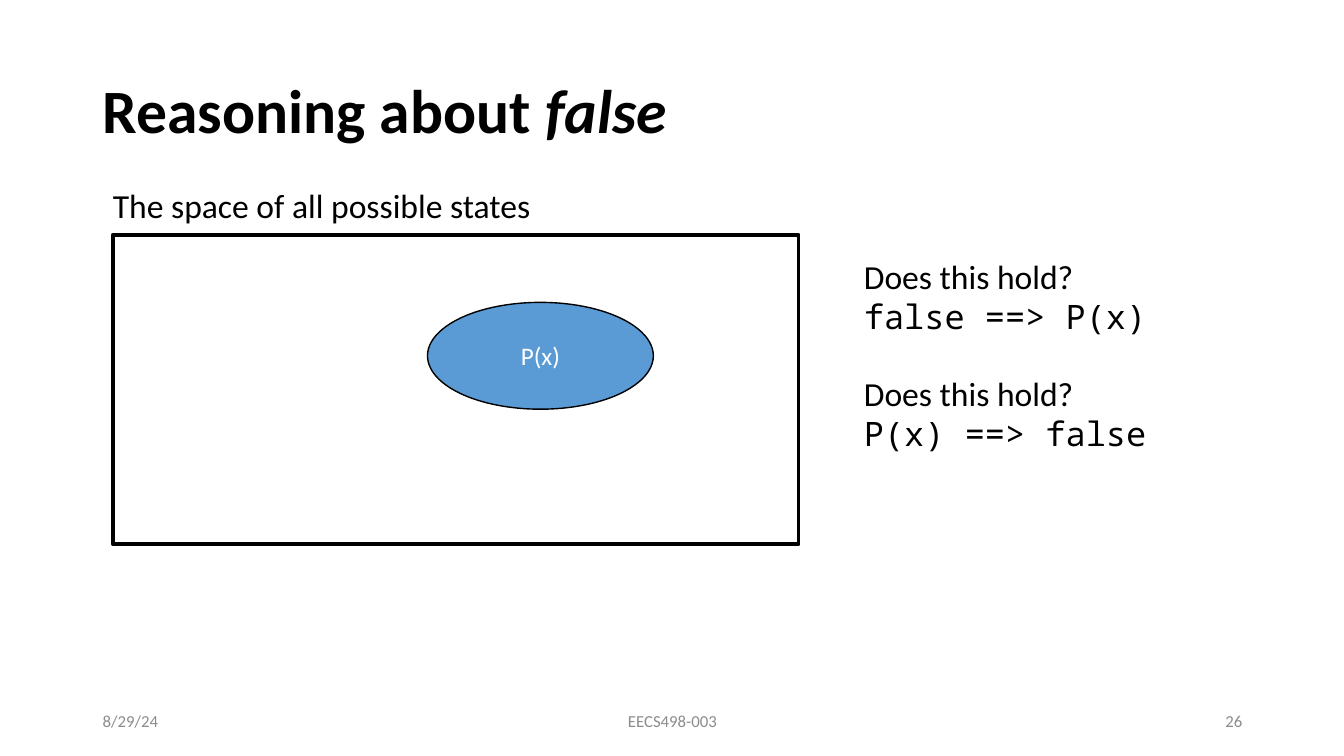
from pptx import Presentation
from pptx.dml.color import RGBColor
from pptx.enum.shapes import MSO_SHAPE
from pptx.enum.text import MSO_ANCHOR, MSO_AUTO_SIZE, PP_ALIGN
from pptx.util import Inches, Pt

HUES = {"ink": "000000", "gray": "8C8C8C", "blue": "5B9BD5", "white": "FFFFFF"}


def hue(name):
    return RGBColor.from_string(HUES[name])


def write(para, text, size=24, color="ink", font="Calibri", bold=False,
          italic=False, align=PP_ALIGN.LEFT):
    para.alignment = align
    run = para.add_run()
    run.text = text
    run.font.name = font
    run.font.size = Pt(size)
    run.font.bold = bold
    run.font.italic = italic
    run.font.color.rgb = hue(color)


deck = Presentation()
deck.slide_width, deck.slide_height = Inches(13.33), Inches(7.5)
slide = deck.slides.add_slide(deck.slide_layouts[5])
shapes = slide.shapes

# Title
title = shapes.title
title.left, title.top = Inches(0.92), Inches(0.4)
title.width, title.height = Inches(11.5), Inches(1.45)
frame = title.text_frame
frame.auto_size = MSO_AUTO_SIZE.NONE
frame.vertical_anchor = MSO_ANCHOR.MIDDLE
para = frame.paragraphs[0]
para.line_spacing = 0.9
write(para, "Reasoning about ", size=44, bold=True)
write(para, "false", size=44, bold=True, italic=True)

# Footer: date, course and page number
for text, left, width, align in (
    ("8/29/24", 0.92, 3, PP_ALIGN.LEFT),
    ("EECS498-003", 4.42, 4.5, PP_ALIGN.CENTER),
    ("26", 9.42, 3, PP_ALIGN.RIGHT),
):
    box = shapes.add_textbox(Inches(left), Inches(6.95), Inches(width), Inches(0.4))
    frame = box.text_frame
    frame.word_wrap = True
    frame.vertical_anchor = MSO_ANCHOR.MIDDLE
    write(frame.paragraphs[0], text, size=12, color="gray", align=align)

# State space with its label
space = shapes.add_shape(MSO_SHAPE.RECTANGLE, Inches(1.12), Inches(2.33),
                         Inches(6.8), Inches(3.07))
space.shadow.inherit = False
space.fill.background()
space.line.color.rgb = hue("ink")
space.line.width = Pt(2.75)

label = shapes.add_textbox(Inches(1.02), Inches(1.79), Inches(4.38), Inches(0.5))
label.text_frame.word_wrap = False
label.text_frame.auto_size = MSO_AUTO_SIZE.SHAPE_TO_FIT_TEXT
write(label.text_frame.paragraphs[0], "The space of all possible states")

# Set of states where P(x) holds
oval = shapes.add_shape(MSO_SHAPE.OVAL, Inches(4.24), Inches(3),
                        Inches(2.24), Inches(1.06))
oval.shadow.inherit = False
oval.fill.solid()
oval.fill.fore_color.rgb = hue("blue")
oval.line.color.rgb = hue("ink")
oval.line.width = Pt(1)
oval.text_frame.vertical_anchor = MSO_ANCHOR.MIDDLE
write(oval.text_frame.paragraphs[0], "P(x)", size=18, color="white",
      align=PP_ALIGN.CENTER)

# Questions
for top, claim in ((2.49, "false ==> P(x)"), (3.65, "P(x) ==> false")):
    box = shapes.add_textbox(Inches(8.47), Inches(top), Inches(4.14), Inches(0.91))
    frame = box.text_frame
    frame.word_wrap = True
    frame.auto_size = MSO_AUTO_SIZE.SHAPE_TO_FIT_TEXT
    write(frame.paragraphs[0], "Does this hold?")
    write(frame.add_paragraph(), claim, font="Noto Sans Mono")

deck.save("out.pptx")
